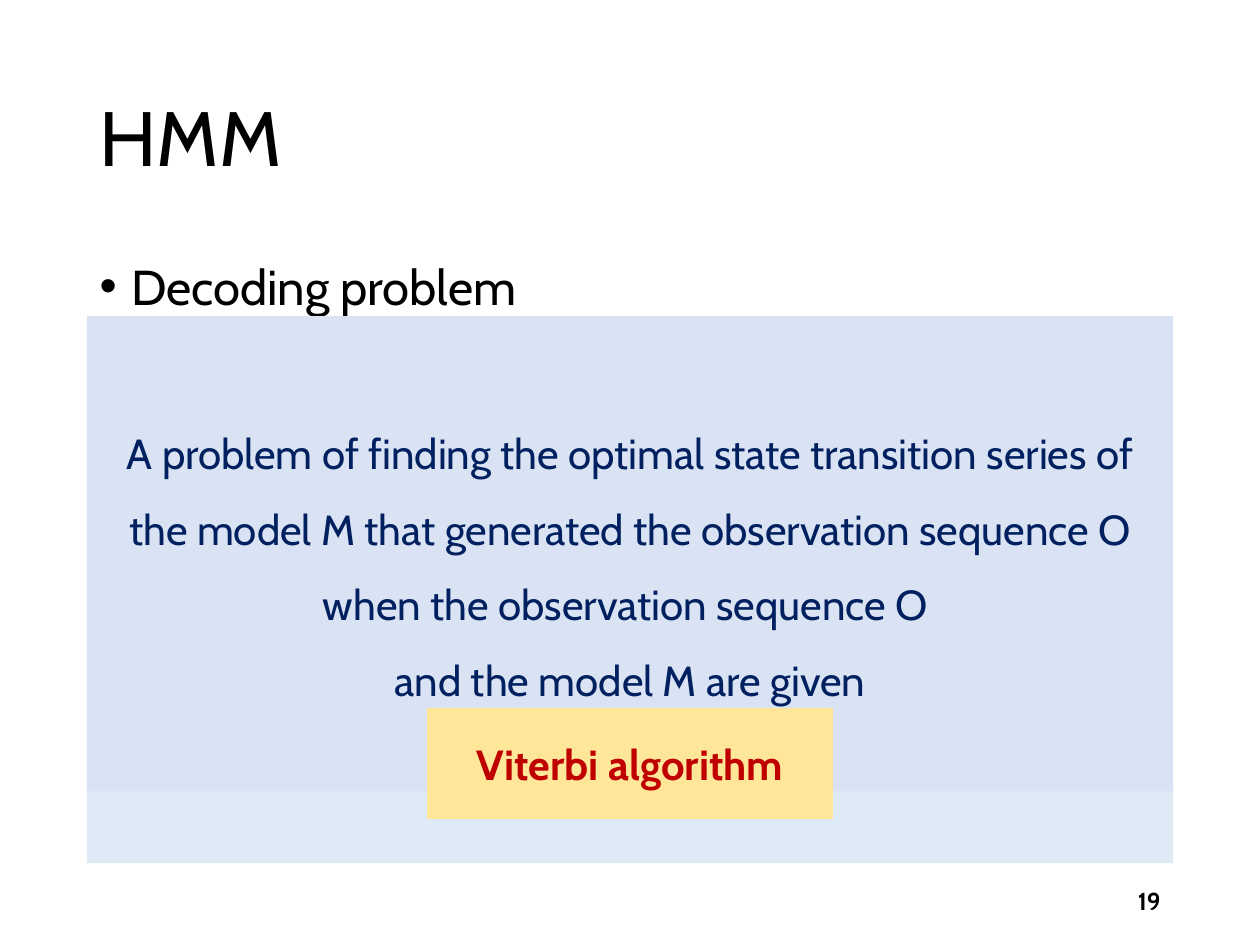
from pptx import Presentation
from pptx.dml.color import RGBColor
from pptx.enum.shapes import MSO_SHAPE as Shape
from pptx.enum.text import MSO_ANCHOR as Anchor, PP_ALIGN as Align
from pptx.util import Inches, Pt

FONT = "Cabin"
COLORS = {
    "text": "000000", "definition": "002060", "answer": "C00000",
    "panel": "DAE3F3", "band": "DEEBF7", "highlight": "FFE699",
}
WIDTH, HEIGHT = 10, 7.5
MARGIN = 0.69
CONTENT = WIDTH - 2 * MARGIN
DEFINITION = [
    "A problem of finding the optimal state transition series of the model M "
    "that generated the observation sequence O when the observation sequence O ",
    "and the model M are given",
]


def color(name):
    return RGBColor.from_string(COLORS[name])


def write(holder, lines, size, ink="text", align=Align.LEFT, spacing=1.0,
          before=0, bold=False, anchor=Anchor.MIDDLE):
    frame = holder.text_frame
    frame.word_wrap = True
    frame.vertical_anchor = anchor
    frame.text = "\n".join(lines)
    for paragraph in frame.paragraphs:
        paragraph.alignment = align
        paragraph.line_spacing = spacing
        paragraph.space_before = Pt(before)
        font = paragraph.font
        font.name, font.size, font.bold = FONT, Pt(size), bold
        font.color.rgb = color(ink)


def place(holder, top, height):
    holder.left, holder.width = Inches(MARGIN), Inches(CONTENT)
    holder.top, holder.height = Inches(top), Inches(height)


def add_block(slide, fill, top, height, width=CONTENT):
    block = slide.shapes.add_shape(
        Shape.RECTANGLE, Inches((WIDTH - width) / 2), Inches(top),
        Inches(width), Inches(height))
    block.shadow.inherit = False
    block.fill.solid()
    block.fill.fore_color.rgb = color(fill)
    block.line.fill.background()
    return block


def add_page_number(slide, number):
    width = 2.25
    box = slide.shapes.add_textbox(
        Inches(WIDTH - MARGIN - width), Inches(6.95), Inches(width), Inches(0.4))
    write(box, [number], 14, align=Align.RIGHT, bold=True)


def add_bullet_list(body, items):
    place(body, 1.75, 4.76)
    write(body, items, 28, spacing=1.5, before=10, anchor=Anchor.TOP)
    for paragraph in body.text_frame.paragraphs:
        properties = paragraph._p.get_or_add_pPr()
        properties.set("marL", str(Inches(0.25)))
        properties.set("indent", str(-Inches(0.25)))


def main():
    deck = Presentation()
    deck.slide_width, deck.slide_height = Inches(WIDTH), Inches(HEIGHT)
    slide = deck.slides.add_slide(deck.slide_layouts[1])

    title, body = slide.placeholders
    place(title, 0.4, 1.45)
    write(title, ["HMM"], 44, spacing=0.9)
    add_bullet_list(body, ["Decoding problem"])

    add_block(slide, "band", 6.26, 0.59)
    panel = add_block(slide, "panel", 2.51, 3.77)
    write(panel, DEFINITION, 24, "definition", Align.CENTER, spacing=1.5)
    add_page_number(slide, "19")
    answer = add_block(slide, "highlight", 5.62, 0.88, width=3.22)
    write(answer, ["Viterbi algorithm"], 24, "answer", Align.CENTER, bold=True)

    deck.save("out.pptx")


if __name__ == "__main__":
    main()
